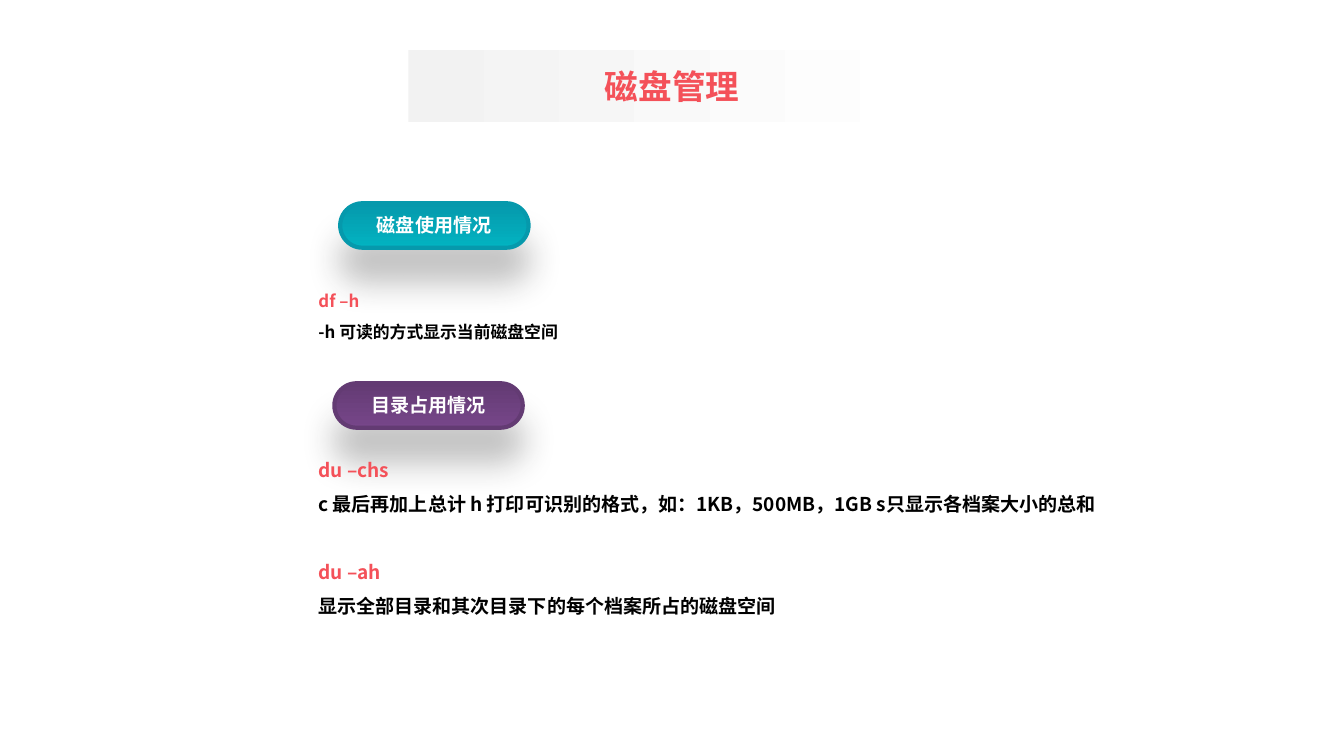
from dataclasses import dataclass

from lxml import etree
from pptx import Presentation
from pptx import util as u
from pptx.dml.color import RGBColor
from pptx.enum import shapes, text
from pptx.oxml import parse_xml
from pptx.oxml.ns import nsdecls, qn


@dataclass(frozen=True)
class Theme:
    font: str = "Noto Sans CJK SC"
    accent: str = "F45159"
    ink: str = "000000"
    white: str = "FFFFFF"
    banner: tuple = ("F2F2F2", "FFFFFF")
    teal: tuple = ("0699AC", "02B3C1")
    purple: tuple = ("633B73", "77468A")
    shadow: str = "262626"
    title_size: float = 18
    body_size: float = 10.2
    small_size: float = 9


THEME = Theme()
TITLE = "磁盘管理"
PILLS = [
    ("磁盘使用情况", 6.43, 3.84, THEME.teal),
    ("目录占用情况", 6.32, 7.24, THEME.purple),
]
NOTES = [
    (5.18, 5.31, 1.35, THEME.small_size, [
        ("df –h", "-h 可读的方式显示当前磁盘空间"),
    ]),
    (8.31, 15.67, 3.43, THEME.body_size, [
        ("du –chs", "c 最后再加上总计 h 打印可识别的格式，如：1KB，500MB，1GB s只显示各档案大小的总和"),
        ("du –ah", "显示全部目录和其次目录下的每个档案所占的磁盘空间"),
    ]),
]
PILL_WIDTH, PILL_HEIGHT = 3.56, 0.84
LABEL_WIDTH, LABEL_HEIGHT = 2.67, 0.69
COMMAND_GAP = 18


def place(shape, left, top, width, height):
    shape.left, shape.top = u.Cm(left), u.Cm(top)
    shape.width, shape.height = u.Cm(width), u.Cm(height)


def add_span(para, words, size, color):
    span = para.add_run()
    span.text = words
    font = span.font
    font.name, font.size, font.bold = THEME.font, u.Pt(size), True
    font.color.rgb = RGBColor.from_string(color)
    east_asian = etree.SubElement(span._r.get_or_add_rPr(), qn("a:ea"))
    east_asian.set("typeface", THEME.font)


def fill_gradient(shape, colors, angle):
    shape.fill.gradient()
    shape.fill.gradient_angle = angle
    for stop, color in zip(shape.fill.gradient_stops, colors):
        stop.color.rgb = RGBColor.from_string(color)


def add_drop_shadow(shape):
    shape._element.spPr.append(parse_xml(
        f'<a:effectLst {nsdecls("a")}>'
        f'<a:outerShdw blurRad="{u.Pt(18)}" dist="{u.Pt(18)}" dir="5400000" '
        f'algn="t" rotWithShape="0"><a:srgbClr val="{THEME.shadow}">'
        '<a:alpha val="28000"/></a:srgbClr></a:outerShdw></a:effectLst>'))


def format_title(page):
    title = page.shapes.title
    place(title, 7.72, 0.94, 9.96, 1.37)
    title._element.spPr.append(parse_xml(
        f'<a:prstGeom {nsdecls("a")} prst="roundRect"><a:avLst>'
        '<a:gd name="adj" fmla="val 42300"/></a:avLst></a:prstGeom>'))
    fill_gradient(title, THEME.banner, 0)
    frame = title.text_frame
    frame.auto_size = text.MSO_AUTO_SIZE.NONE
    frame.vertical_anchor = text.MSO_ANCHOR.MIDDLE
    para = frame.paragraphs[0]
    para.alignment = text.PP_ALIGN.CENTER
    add_span(para, TITLE, THEME.title_size, THEME.accent)


def add_pill(page, label, left, top, colors):
    group = page.shapes.add_group_shape()
    pill = group.shapes.add_shape(
        shapes.MSO_SHAPE.ROUNDED_RECTANGLE,
        u.Cm(left), u.Cm(top), u.Cm(PILL_WIDTH), u.Cm(PILL_HEIGHT))
    pill.adjustments[0] = 0.5
    fill_gradient(pill, colors, 270)
    pill.line.color.rgb = RGBColor.from_string(colors[0])
    pill.line.width = u.Pt(2.25)
    add_drop_shadow(pill)

    box = group.shapes.add_textbox(
        u.Cm(left + (PILL_WIDTH - LABEL_WIDTH) / 2),
        u.Cm(top + (PILL_HEIGHT - LABEL_HEIGHT) / 2),
        u.Cm(LABEL_WIDTH), u.Cm(LABEL_HEIGHT))
    box.text_frame.word_wrap = False
    box.text_frame.auto_size = text.MSO_AUTO_SIZE.SHAPE_TO_FIT_TEXT
    add_span(box.text_frame.paragraphs[0], label, THEME.body_size, THEME.white)


def add_notes(page, top, width, height, size, commands):
    box = page.shapes.add_textbox(u.Cm(5.77), u.Cm(top), u.Cm(width), u.Cm(height))
    frame = box.text_frame
    frame.word_wrap = True
    frame.auto_size = text.MSO_AUTO_SIZE.SHAPE_TO_FIT_TEXT
    for index, (command, meaning) in enumerate(commands):
        para = frame.add_paragraph() if index else frame.paragraphs[0]
        para.space_before = u.Pt(COMMAND_GAP if index else 0)
        add_span(para, command, size, THEME.accent)
        add_span(frame.add_paragraph(), meaning, size, THEME.ink)
    for para in frame.paragraphs:
        para.line_spacing = 1.5


def main():
    deck = Presentation()
    deck.slide_width, deck.slide_height = u.Cm(25.4), u.Cm(14.28)
    page = deck.slides.add_slide(deck.slide_layouts.get_by_name("Title Only"))
    format_title(page)
    for pill in PILLS:
        add_pill(page, *pill)
    for note in NOTES:
        add_notes(page, *note)
    deck.save("out.pptx")


if __name__ == "__main__":
    main()
